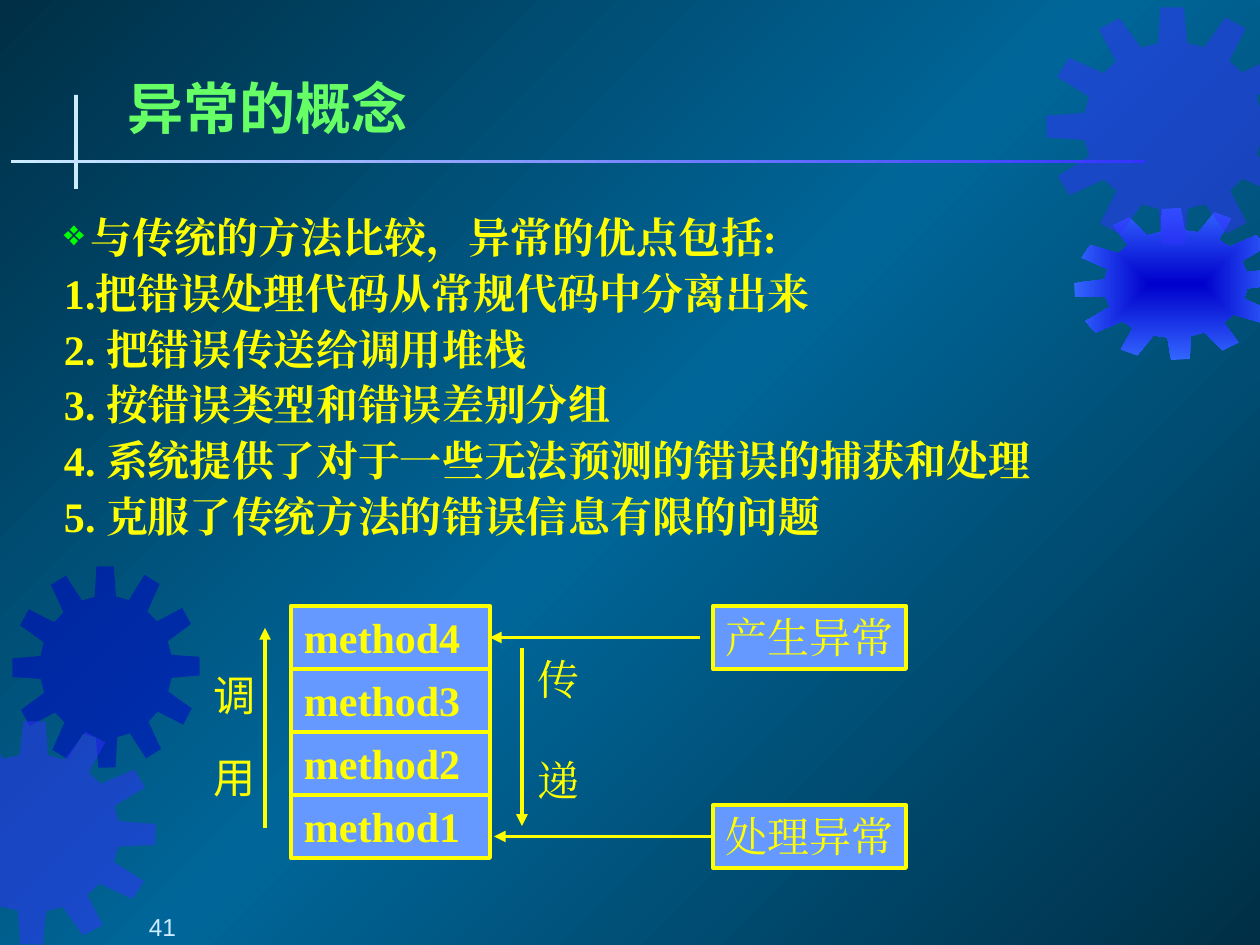
"""Build the slide on the concept and advantages of exceptions."""

import math
from dataclasses import dataclass
from typing import Any, Optional

import pptx
import pptx.dml.color
import pptx.enum.shapes
import pptx.enum.text
import pptx.oxml
import pptx.oxml.ns
import pptx.util

EMU_PER_PX = 914400 / 126
SLIDE_WIDTH, SLIDE_HEIGHT = 1260, 945
COLORS = {
    "edge": "002F46", "middle": "006699", "gear": "0000CC", "pale_gear": "3333FF",
    "bright_gear": "3366FF", "rule": "CCECFF", "box": "6699FF", "text": "FFFF00",
    "title": "66FF66", "bullet": "00FF00",
}
SERIF, CJK = "Times New Roman", "Noto Sans CJK SC"
LEFT = pptx.enum.text.PP_ALIGN.LEFT
TOP = pptx.enum.text.MSO_ANCHOR.TOP
QN = pptx.oxml.ns.qn
CENTER_PATH = '<a:path path="rect"><a:fillToRect l="50000" t="50000" r="50000" b="50000"/></a:path>'


@dataclass
class Gear:
    center_x: int
    center_y: int
    radius_x: int
    radius_y: int
    tilt: float
    color: str
    translucent: bool = True


@dataclass
class Box:
    text: str
    left: int
    top: int
    width: int
    height: int = 63
    bold: bool = False


@dataclass
class Label:
    letters: str
    left: int
    top: int
    width: int
    height: int
    margin_left: int
    margin_top: int
    gap: float
    font: str


@dataclass
class Arrow:
    start: tuple[int, int]
    end: tuple[int, int]
    start_box: Optional[str] = None
    end_box: Optional[str] = None


GEARS = [
    Gear(106, 667, 94, 101, -0.5, "gear"),
    Gear(33, 833, 123, 112, 0.7, "pale_gear"),
    Gear(1176, 284, 102, 76, -3.4, "bright_gear", False),
    Gear(1173, 126, 127, 119, -0.3, "pale_gear"),
]
BOXES = [Box(f"method{4 - row}", 291, 606 + 63 * row, 199, bold=True) for row in range(4)] + [
    Box("产生异常", 713, 606, 193),
    Box("处理异常", 713, 805, 193),
]
LABELS = [
    Label("传递", 525, 648, 66, 164, 13, 6, 28.5, SERIF),
    Label("调用", 189, 667, 76, 135, 25, 3, 17.5, "Karla"),
]
ARROWS = [
    Arrow((700, 637), (490, 637), end_box="method4"),
    Arrow((522, 648), (522, 826)),
    Arrow((713, 836), (494, 836), start_box="处理异常"),
    Arrow((265, 828), (265, 628)),
]
ADVANTAGES = [
    "与传统的方法比较，异常的优点包括:",
    "1.把错误处理代码从常规代码中分离出来",
    "2. 把错误传送给调用堆栈",
    "3. 按错误类型和错误差别分组",
    "4. 系统提供了对于一些无法预测的错误的捕获和处理",
    "5. 克服了传统方法的错误信息有限的问题",
]


def px(value: float) -> pptx.util.Emu:
    return pptx.util.Emu(round(value * EMU_PER_PX))


def rgb(name: str) -> pptx.dml.color.RGBColor:
    return pptx.dml.color.RGBColor.from_string(COLORS[name])


def xml(text: str) -> Any:
    return pptx.oxml.parse_xml(text.replace(">", f' {pptx.oxml.ns.nsdecls("a")}>', 1)
                               if not text.endswith("/>") or text.count("<") > 1
                               else text.replace("/>", f' {pptx.oxml.ns.nsdecls("a")}/>'))


def set_gradient(fill: Any, element: Any, names: list[str], direction: str) -> None:
    fill.gradient()
    gradient = element.find(".//" + QN("a:gradFill"))
    gradient.clear()
    stops = "".join(
        f'<a:gs pos="{index * 100000 // (len(names) - 1)}"><a:srgbClr val="{COLORS[name]}"/></a:gs>'
        for index, name in enumerate(names))
    gradient.append(xml(f"<a:gsLst>{stops}</a:gsLst>"))
    gradient.append(xml(direction))


def style_paragraph(paragraph: Any, text: str, size: int = 24, color: str = "text",
                    font: str = SERIF, bold: bool = False, align: Any = LEFT) -> None:
    paragraph.text = text
    paragraph.alignment = align
    paragraph.font.size = pptx.util.Pt(size)
    paragraph.font.bold = bold
    paragraph.font.color.rgb = rgb(color)
    paragraph.font.name = font
    paragraph.font._element.find(QN("a:latin")).addnext(xml(f'<a:ea typeface="{font}"/>'))


def set_frame(frame: Any, margins: tuple[int, int, int, int], anchor: Any = TOP, wrap: bool = True) -> None:
    frame.margin_left, frame.margin_top, frame.margin_right, frame.margin_bottom = map(px, margins)
    frame.vertical_anchor = anchor
    frame.word_wrap = wrap


def clip(points: list[tuple[float, float]], edge: int, side: int) -> list[tuple[float, float]]:
    kept = []
    for (x, y), (next_x, next_y) in zip(points, points[1:] + points[:1]):
        inside, next_inside = (x - edge) * side >= 0, (next_x - edge) * side >= 0
        if inside:
            kept.append((x, y))
        if inside != next_inside:
            kept.append((edge, y + (next_y - y) * (edge - x) / (next_x - x)))
    return kept


def draw_gear(slide: Any, gear: Gear) -> None:
    tilt = math.radians(gear.tilt)
    points = []
    for tooth in range(12):
        for offset, reach in ((-9.3, 0.705), (-5.3, 1), (5.3, 1), (9.3, 0.705)):
            angle = math.radians(tooth * 30 + offset)
            x = gear.radius_x * reach * math.sin(angle)
            y = -gear.radius_y * reach * math.cos(angle)
            points.append((gear.center_x + x * math.cos(tilt) - y * math.sin(tilt),
                           gear.center_y + x * math.sin(tilt) + y * math.cos(tilt)))
    if gear.translucent:
        points = clip(clip(points, 0, 1), SLIDE_WIDTH, -1)
    outline = [(px(x), px(y)) for x, y in points]
    builder = slide.shapes.build_freeform(*outline[0], scale=1.0)
    builder.add_line_segments(outline[1:], close=True)
    shape = builder.convert_to_shape()
    shape.shadow.inherit = False
    shape.line.fill.background()
    if gear.translucent:
        shape.fill.solid()
        shape.fill.fore_color.rgb = rgb(gear.color)
        shape.element.find(".//" + QN("a:srgbClr")).append(xml('<a:alpha val="50000"/>'))
    else:
        set_gradient(shape.fill, shape.element, ["gear", gear.color], CENTER_PATH)


def draw_rectangle(slide: Any, left: int, top: int, width: int, height: int, color: str) -> Any:
    shape = slide.shapes.add_shape(pptx.enum.shapes.MSO_SHAPE.RECTANGLE, *map(px, (left, top, width, height)))
    shape.shadow.inherit = False
    shape.fill.solid()
    shape.fill.fore_color.rgb = rgb(color)
    shape.line.fill.background()
    return shape


def draw_box(slide: Any, box: Box) -> Any:
    shape = draw_rectangle(slide, box.left, box.top, box.width, box.height, "box")
    shape.line.color.rgb = rgb("text")
    shape.line.width = pptx.util.Pt(2.25)
    set_frame(shape.text_frame, (13, 6, 13, 6), wrap=box.bold)
    style_paragraph(shape.text_frame.paragraphs[0], box.text, bold=box.bold)
    return shape


def draw_label(slide: Any, label: Label) -> None:
    frame = slide.shapes.add_textbox(*map(px, (label.left, label.top, label.width, label.height))).text_frame
    set_frame(frame, (label.margin_left, label.margin_top, 0, 0))
    first, second = frame.paragraphs[0], frame.add_paragraph()
    style_paragraph(first, label.letters[0], font=label.font)
    style_paragraph(second, label.letters[1], font=label.font)
    second.space_before = pptx.util.Pt(label.gap)


def draw_arrow(slide: Any, arrow: Arrow, boxes: dict[str, Any]) -> None:
    connector = slide.shapes.add_connector(
        pptx.enum.shapes.MSO_CONNECTOR.STRAIGHT, *map(px, arrow.start + arrow.end))
    if arrow.start_box:
        connector.begin_connect(boxes[arrow.start_box], 1)
        connector.end_y = connector.begin_y
    if arrow.end_box:
        connector.end_connect(boxes[arrow.end_box], 3)
        connector.begin_y = connector.end_y
    connector.line.color.rgb = rgb("text")
    connector.line.width = pptx.util.Pt(2.25)
    line = connector.element.find(".//" + QN("a:ln"))
    line.append(xml('<a:tailEnd type="triangle"/>'))
    line.addnext(xml("<a:effectLst/>"))


def draw_advantages(slide: Any) -> None:
    frame = slide.shapes.add_textbox(*map(px, (59, 207, 1140, 339))).text_frame
    set_frame(frame, (5, 5, 5, 5))
    for index, text in enumerate(ADVANTAGES):
        paragraph = frame.add_paragraph() if index else frame.paragraphs[0]
        style_paragraph(paragraph, text, bold=True)
        paragraph.space_before = pptx.util.Pt(3)
        properties = paragraph.font._element.getparent()
        properties.set("marL", str(px(27)))
        properties.set("indent", str(px(-27)))
        if index == 0:
            for bullet in (f'<a:buClr><a:srgbClr val="{COLORS["bullet"]}"/></a:buClr>',
                           '<a:buSzPct val="85000"/>', '<a:buChar char="❖"/>'):
                paragraph.font._element.addprevious(xml(bullet))


def main() -> None:
    presentation = pptx.Presentation()
    presentation.slide_width, presentation.slide_height = px(SLIDE_WIDTH), px(SLIDE_HEIGHT)
    slide = presentation.slides.add_slide(presentation.slide_layouts[5])
    set_gradient(slide.background.fill, slide.element, ["edge", "middle", "edge"],
                 '<a:lin ang="13500000" scaled="0"/>')
    for gear in GEARS:
        draw_gear(slide, gear)
    draw_rectangle(slide, 74, 95, 4, 94, "rule")
    rule = draw_rectangle(slide, 11, 160, 1134, 3, "rule")
    set_gradient(rule.fill, rule.element, ["pale_gear", "rule"], '<a:lin ang="10800000" scaled="0"/>')
    boxes = {box.text: draw_box(slide, box) for box in BOXES}
    for arrow in ARROWS:
        draw_arrow(slide, arrow, boxes)
    for label in LABELS:
        draw_label(slide, label)
    title = slide.shapes.title
    title.left, title.top, title.width, title.height = map(px, (110, 68, 1114, 79))
    set_frame(title.text_frame, (5, 6, 5, 6), pptx.enum.text.MSO_ANCHOR.MIDDLE)
    style_paragraph(title.text_frame.paragraphs[0], " 异常的概念", 32, "title", CJK, True)
    draw_advantages(slide)
    number = slide.shapes.add_textbox(*map(px, (0, 888, 262, 53))).text_frame
    set_frame(number, (76, 0, 13, 0), pptx.enum.text.MSO_ANCHOR.BOTTOM)
    style_paragraph(number.paragraphs[0], "41", 14, "rule", "Arial", align=pptx.enum.text.PP_ALIGN.CENTER)
    presentation.save("out.pptx")


if __name__ == "__main__":
    main()
